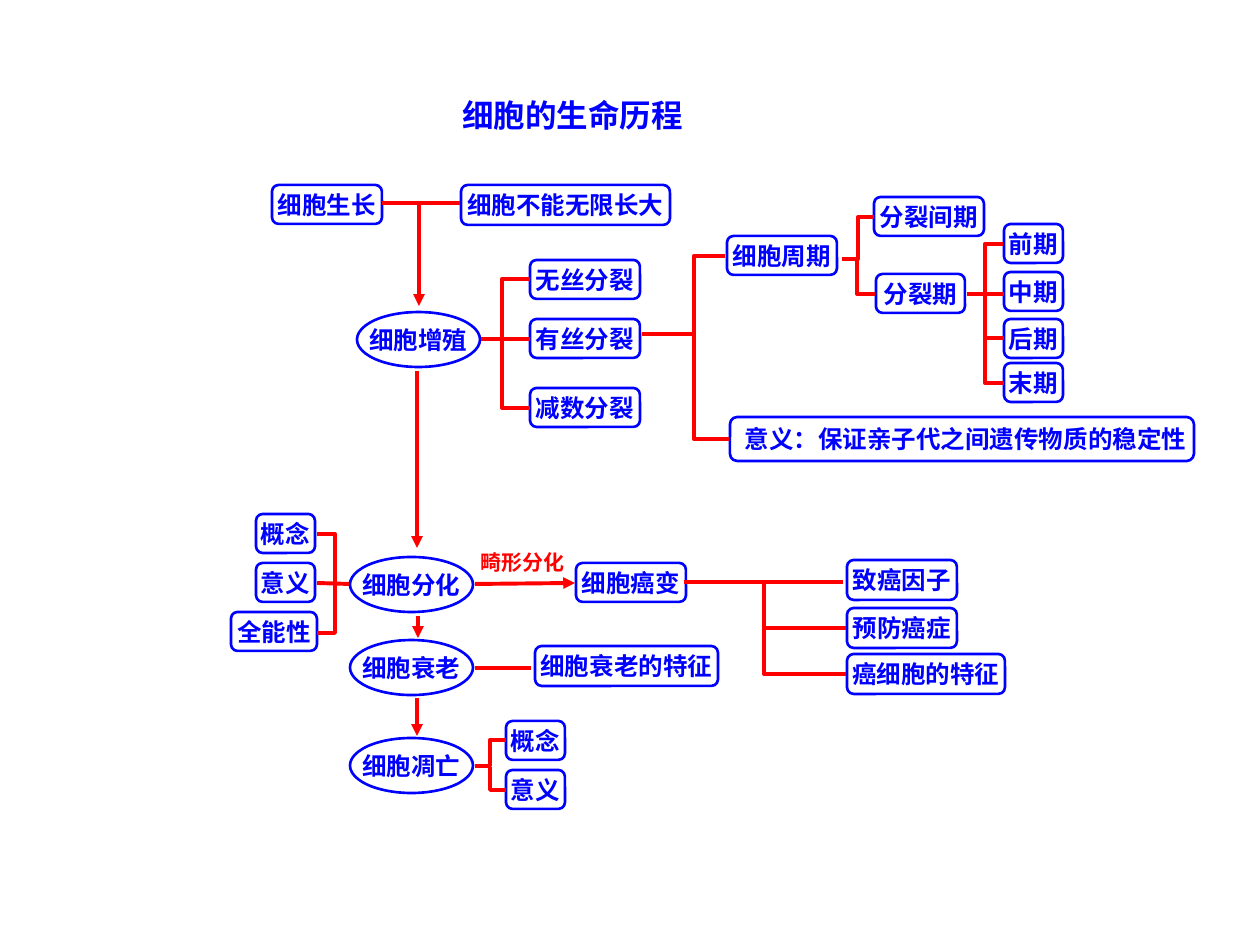
from lxml import etree
from pptx import Presentation
from pptx import util as u
from pptx.dml.color import RGBColor
from pptx.enum import shapes, text
from pptx.oxml.ns import qn

PX = 914400 / 126
FONT = "Noto Sans CJK SC"
HUES = {"blue": "0000FF", "red": "FF0000"}

# Words without a frame: text, left, top, width, height, size, hue
WORDS = [
    ("细胞的生命历程", 326, 82, 493, 58, 18, "blue"),
    ("畸形分化", 459, 538, 127, 43, 12, "red"),
]

# Columns of boxes: left, width, height, [(top, text)]
BOXES = [
    (272, 110, 39, [(185, "细胞生长")]),
    (461, 209, 40, [(185, "细胞不能无限长大")]),
    (530, 110, 39, [(260, "无丝分裂"), (319, "有丝分裂"), (388, "减数分裂")]),
    (727, 110, 39, [(236, "细胞周期")]),
    (874, 110, 39, [(197, "分裂间期")]),
    (876, 89, 39, [(274, "分裂期")]),
    (1004, 59, 39, [(224, "前期"), (272, "中期"), (319, "后期"), (363, "末期")]),
    (730, 464, 44, [(417, "意义：保证亲子代之间遗传物质的稳定性")]),
    (847, 110, 40, [(560, "致癌因子"), (608, "预防癌症")]),
    (847, 158, 40, [(654, "癌细胞的特征")]),
    (535, 183, 40, [(646, "细胞衰老的特征")]),
    (576, 110, 39, [(563, "细胞癌变")]),
    (256, 59, 39, [(514, "概念"), (563, "意义")]),
    (231, 86, 39, [(612, "全能性")]),
    (506, 59, 39, [(721, "概念"), (770, "意义")]),
]

# Stages of cell life: left, top, text
STAGES = [
    (357, 312, "细胞增殖"),
    (350, 557, "细胞分化"),
    (350, 640, "细胞衰老"),
    (350, 738, "细胞凋亡"),
]

# Straight links and arrows: x1, y1, x2, y2
LINES = [
    (382, 203, 460, 203), (481, 339, 530, 339), (317, 583, 349, 584),
    (475, 668, 531, 668), (846, 628, 764, 628), (684, 582, 843, 582),
    (985, 294, 1004, 294), (642, 334, 694, 334),
]
ARROWS = [
    (419, 203, 419, 306), (417, 371, 417, 548), (418, 616, 418, 638),
    (417, 698, 417, 736), (475, 584, 575, 583),
]

# Elbows: x1, y1, x2, y2, x of the upright part
ELBOWS = [
    (502, 339, 530, 279, 502), (502, 338, 530, 408, 502),
    (317, 534, 335, 582, 335), (335, 582, 317, 633, 335),
    (475, 766, 506, 740, 490), (490, 767, 506, 790, 490),
    (764, 583, 846, 674, 764),
    (842, 259, 874, 217, 858), (857, 258, 875, 294, 857),
    (967, 294, 1003, 244, 985), (985, 294, 1004, 338, 985),
    (985, 337, 1004, 383, 985), (725, 256, 729, 439, 694),
]

deck = Presentation()
deck.slide_width, deck.slide_height = u.Inches(10), u.Inches(7.5)
page = deck.slides.add_slide(deck.slide_layouts[6])


def emu(*vals):
    return [round(v * PX) for v in vals]


def write(frame, words, size, hue, align=text.PP_ALIGN.CENTER):
    para = frame.paragraphs[0]
    para.alignment = align
    run = para.add_run()
    run.text = words
    font = run.font
    font.size, font.bold, font.name = u.Pt(size), True, FONT
    font.color.rgb = RGBColor.from_string(HUES[hue])
    etree.SubElement(run._r.get_or_add_rPr(), qn("a:ea"), typeface=FONT)
    return para


def node(kind, words, x, y, w, h, align=text.PP_ALIGN.CENTER):
    item = page.shapes.add_shape(kind, *emu(x, y, w, h))
    item.shadow.inherit = False
    item.fill.background()
    item.line.color.rgb = RGBColor.from_string(HUES["blue"])
    item.line.width = u.Pt(1.5)
    frame = item.text_frame
    frame.word_wrap = False
    frame.vertical_anchor = text.MSO_ANCHOR.MIDDLE
    write(frame, words, 14, "blue", align)


def link(x1, y1, x2, y2, mid=None, arrow=False):
    kinds = shapes.MSO_CONNECTOR
    kind = kinds.STRAIGHT if mid is None else kinds.ELBOW
    item = page.shapes.add_connector(kind, *emu(x1, y1, x2, y2))
    item.line.color.rgb = RGBColor.from_string(HUES["red"])
    item.line.width = u.Pt(2.25)
    props = item._element.spPr
    etree.SubElement(props, qn("a:effectLst"))
    if mid is not None:
        turn = round((mid - x1) / (x2 - x1) * 100000)
        guides = props.find(qn("a:prstGeom")).find(qn("a:avLst"))
        etree.SubElement(guides, qn("a:gd"), name="adj1", fmla=f"val {turn}")
    if arrow:
        etree.SubElement(props.find(qn("a:ln")), qn("a:tailEnd"), type="triangle")


# Boxes; the long sentence starts at the left
for x, w, h, rows in BOXES:
    for y, words in rows:
        side = text.PP_ALIGN.LEFT if len(words) > 8 else text.PP_ALIGN.CENTER
        node(shapes.MSO_SHAPE.ROUNDED_RECTANGLE, words, x, y, w, h, side)

# Stages
for x, y, words in STAGES:
    node(shapes.MSO_SHAPE.OVAL, words, x, y, 123, 55)

# Title and arrow label
for words, x, y, w, h, size, hue in WORDS:
    frame = page.shapes.add_textbox(*emu(x, y, w, h)).text_frame
    frame.word_wrap = True
    write(frame, words, size, hue).line_spacing = 1.2

# Links
for ends in LINES:
    link(*ends)
for ends in ARROWS:
    link(*ends, arrow=True)
for ends in ELBOWS:
    link(*ends)

deck.save("out.pptx")
